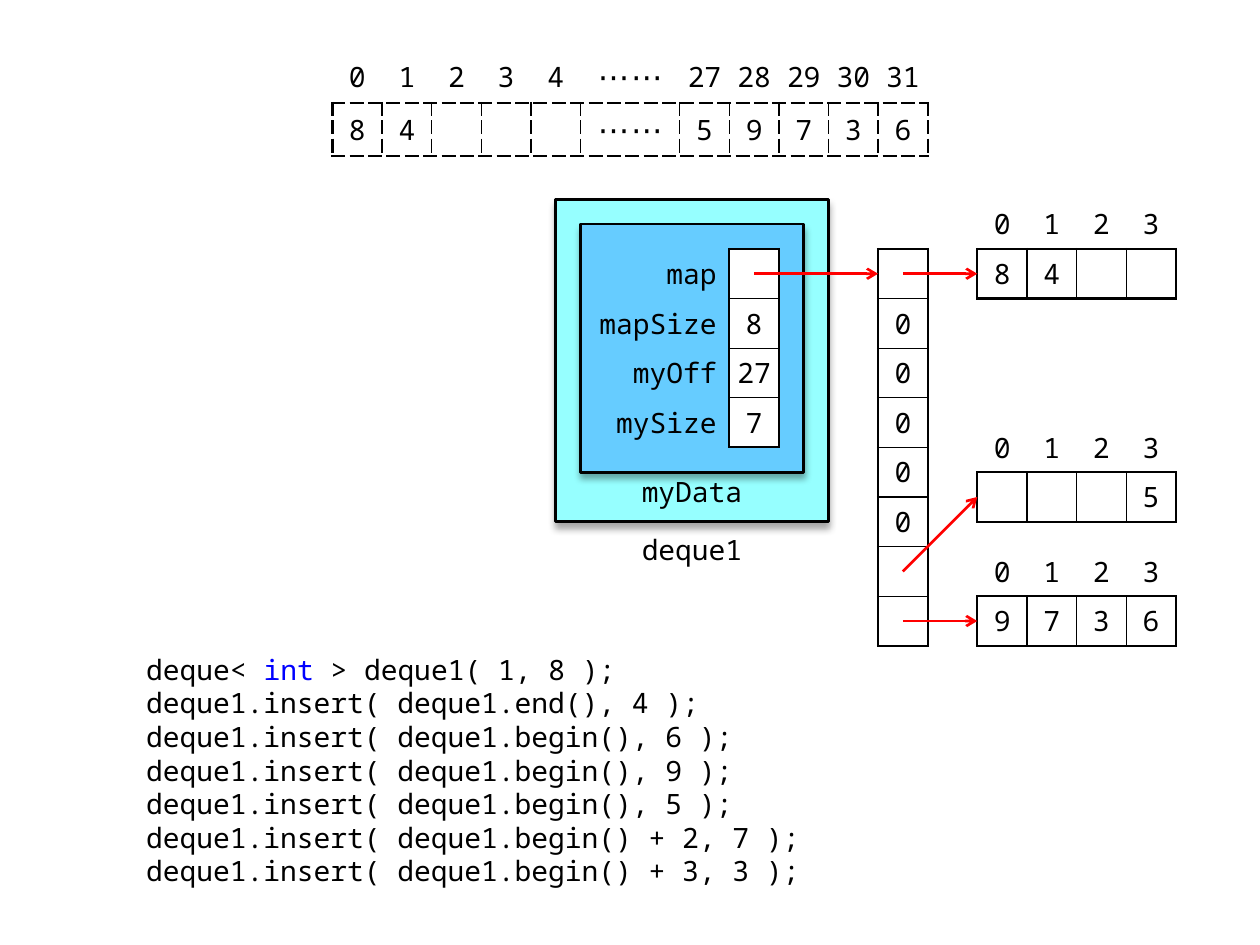
import pptx
import pptx.util
import pptx.dml.color
import pptx.enum.shapes
import pptx.enum.text
import pptx.oxml
import pptx.oxml.ns

Pt = pptx.util.Pt
RGBColor = pptx.dml.color.RGBColor
ALIGN = pptx.enum.text.PP_ALIGN
ANCHOR = pptx.enum.text.MSO_ANCHOR
qualify = pptx.oxml.ns.qn

BLACK = RGBColor(0, 0, 0)
WHITE = RGBColor(255, 255, 255)
CYAN = RGBColor(0x96, 0xFF, 0xFF)
SKY = RGBColor(0x66, 0xCC, 0xFF)
RED = RGBColor(255, 0, 0)
BLUE = RGBColor(0, 0, 255)

FONT = "Noto Sans Mono"
CELL = 28.35
PADDING = 2.83
OUTER = 1.5
ELLIPSIS = "⋯⋯"
NAMESPACE = pptx.oxml.ns.nsdecls("a")
SIDES = {"lnL": (0, -1), "lnR": (0, 1), "lnT": (-1, 0), "lnB": (1, 0)}


def append_xml(parent, xml):
    parent.append(pptx.oxml.parse_xml(xml))


def style_run(run, size=16, color=BLACK):
    run.font.size = Pt(size)
    run.font.name = FONT
    run.font.color.rgb = color
    append_xml(run._r.get_or_add_rPr(), f'<a:ea {NAMESPACE} typeface="{FONT}"/>')


def add_border(cell, side, width, dash):
    properties = cell._tc.get_or_add_tcPr()
    if width:
        content = (f'<a:solidFill><a:srgbClr val="{BLACK}"/></a:solidFill>'
                   f'<a:prstDash val="{dash}"/>')
    else:
        content = "<a:noFill/>"
    append_xml(properties, f'<a:{side} {NAMESPACE} w="{int(Pt(width))}">{content}</a:{side}>')


def fill_cell(cell, text, alignment):
    paragraph = cell.text_frame.paragraphs[0]
    paragraph.alignment = alignment
    if text == ELLIPSIS:
        for symbol, spacing in zip(ELLIPSIS, ("100", "0")):
            run = paragraph.add_run()
            run.text = symbol
            style_run(run, 18)
            run._r.get_or_add_rPr().set("spc", spacing)
    elif text:
        paragraph.text = text
        style_run(paragraph.runs[0])


def add_grid(slide, left, top, widths, rows, first_row=0, first_column=0,
             inner=0.75, dash="solid", side_padding=PADDING):
    frame = slide.shapes.add_table(len(rows), len(widths), Pt(left), Pt(top),
                                   Pt(sum(widths)), Pt(CELL * len(rows)))
    table = frame.table
    table.first_row = table.horz_banding = False
    for column, width in zip(table.columns, widths):
        column.width = Pt(width)
    for row in table.rows:
        row.height = Pt(CELL)

    def is_boxed(row, column):
        return first_row <= row < len(rows) and first_column <= column < len(widths)

    for row, texts in enumerate(rows):
        for column, text in enumerate(texts):
            cell = table.cell(row, column)
            boxed = is_boxed(row, column)
            for side, (down, across) in SIDES.items():
                count = boxed + is_boxed(row + down, column + across)
                add_border(cell, side, (0, OUTER, inner)[count], dash)
            if boxed:
                cell.fill.solid()
                cell.fill.fore_color.rgb = WHITE
            else:
                cell.fill.background()
            is_label = column < first_column
            cell.vertical_anchor = ANCHOR.MIDDLE
            cell.margin_top = cell.margin_bottom = Pt(PADDING)
            cell.margin_left = cell.margin_right = Pt(7.2 if is_label else side_padding)
            fill_cell(cell, text, ALIGN.RIGHT if is_label else ALIGN.CENTER)


def add_panel(slide, left, top, width, height, color):
    shape = slide.shapes.add_shape(
        pptx.enum.shapes.MSO_SHAPE.FLOWCHART_PROCESS,
        Pt(left), Pt(top), Pt(width), Pt(height))
    shape.fill.solid()
    shape.fill.fore_color.rgb = color
    shape.line.color.rgb = BLACK
    shape.line.width = Pt(OUTER)
    shape.shadow.inherit = False
    effects = shape._element.spPr.find(qualify("a:effectLst"))
    append_xml(effects, f'<a:outerShdw {NAMESPACE} blurRad="{int(Pt(4))}" dist="{int(Pt(3))}" '
                        'dir="5400000" rotWithShape="0"><a:srgbClr val="000000">'
                        '<a:alpha val="35000"/></a:srgbClr></a:outerShdw>')


def add_caption(slide, center, top, text, anchor, top_margin):
    width = 3.5 * CELL
    box = slide.shapes.add_textbox(Pt(center - width / 2), Pt(top), Pt(width), Pt(CELL))
    frame = box.text_frame
    frame.text = text
    frame.word_wrap = True
    frame.vertical_anchor = anchor
    frame.margin_top, frame.margin_bottom = Pt(top_margin), 0
    frame.paragraphs[0].alignment = ALIGN.CENTER
    style_run(frame.paragraphs[0].runs[0])


def add_arrow(slide, start_x, start_y, end_x, end_y):
    connector = slide.shapes.add_connector(
        pptx.enum.shapes.MSO_CONNECTOR.STRAIGHT,
        Pt(start_x), Pt(start_y), Pt(end_x), Pt(end_y))
    connector.line.color.rgb = RED
    connector.line.width = Pt(OUTER)
    append_xml(connector.line._get_or_add_ln(), f'<a:tailEnd {NAMESPACE} type="arrow"/>')
    append_xml(connector._element.spPr, f"<a:effectLst {NAMESPACE}/>")


def add_sequence(slide, left, top):
    indices = ["0", "1", "2", "3", "4", ELLIPSIS, "27", "28", "29", "30", "31"]
    values = ["8", "4", "", "", "", ELLIPSIS, "5", "9", "7", "3", "6"]
    widths = [CELL * (2 if index == ELLIPSIS else 1) for index in indices]
    add_grid(slide, left, top, widths, [indices, values],
             first_row=1, inner=1, dash="sysDash")


def add_deque(slide, left, top):
    center = left + 2.75 * CELL
    inner_left, inner_top = left + CELL / 2, top + CELL / 2
    add_panel(slide, left, top, 5.5 * CELL, 6.5 * CELL, CYAN)
    add_panel(slide, inner_left, inner_top, 4.5 * CELL, 5 * CELL, SKY)
    add_caption(slide, center, top + 6.5 * CELL, "deque1", ANCHOR.MIDDLE, PADDING)
    add_caption(slide, center, inner_top + 5 * CELL, "myData", ANCHOR.TOP, 1.4)
    fields = [("map", ""), ("mapSize", "8"), ("myOff", "27"), ("mySize", "7")]
    add_grid(slide, inner_left, inner_top + CELL / 2, [3 * CELL, CELL], fields,
             first_column=1, side_padding=0)


def add_map(slide, left, top):
    add_grid(slide, left, top, [CELL], [[text] for text in ["", *"00000", "", ""]],
             side_padding=5.67)


def add_block(slide, left, top, values):
    add_grid(slide, left, top, [CELL] * 4, ["0123", values], first_row=1)


def add_storage(slide, left, top):
    map_left, map_top = left + 6.5 * CELL, top + CELL
    block_left = left + 8.5 * CELL
    add_deque(slide, left, top)
    add_map(slide, map_left, map_top)
    first_y = map_top + CELL / 2
    add_arrow(slide, left + 4 * CELL, first_y, map_left, first_y)
    blocks = [(0, 0, ["8", "4", "", ""]),
              (6, 4.5, ["", "", "", "5"]),
              (7, 7, ["9", "7", "3", "6"])]
    for slot, offset, values in blocks:
        block_top = top + offset * CELL
        add_block(slide, block_left, block_top, values)
        add_arrow(slide, map_left + CELL / 2, first_y + slot * CELL,
                  block_left, block_top + 1.5 * CELL)


def add_code(slide, left, top, width, height):
    lines = [["deque< ", "int", " > deque1( 1, 8 );"]]
    arguments = ["end(), 4", "begin(), 6", "begin(), 9", "begin(), 5",
                 "begin() + 2, 7", "begin() + 3, 3"]
    lines += [[f"deque1.insert( deque1.{argument} );"] for argument in arguments]
    frame = slide.shapes.add_textbox(Pt(left), Pt(top), Pt(width), Pt(height)).text_frame
    frame.word_wrap = True
    frame.text = "\n".join("" for line in lines)
    for paragraph, parts in zip(frame.paragraphs, lines):
        paragraph.line_spacing = Pt(19.2)
        for part in parts:
            run = paragraph.add_run()
            run.text = part
            style_run(run, color=BLUE if part == "int" else BLACK)


def main():
    presentation = pptx.Presentation()
    presentation.slide_width, presentation.slide_height = Pt(720), Pt(540)
    slide = presentation.slides.add_slide(presentation.slide_layouts[6])
    add_sequence(slide, 190, 28.8)
    add_storage(slide, 317.5, 113.9)
    add_code(slide, 76.5, 369.2, 396.9, 141.7)
    presentation.save("out.pptx")


if __name__ == "__main__":
    main()
